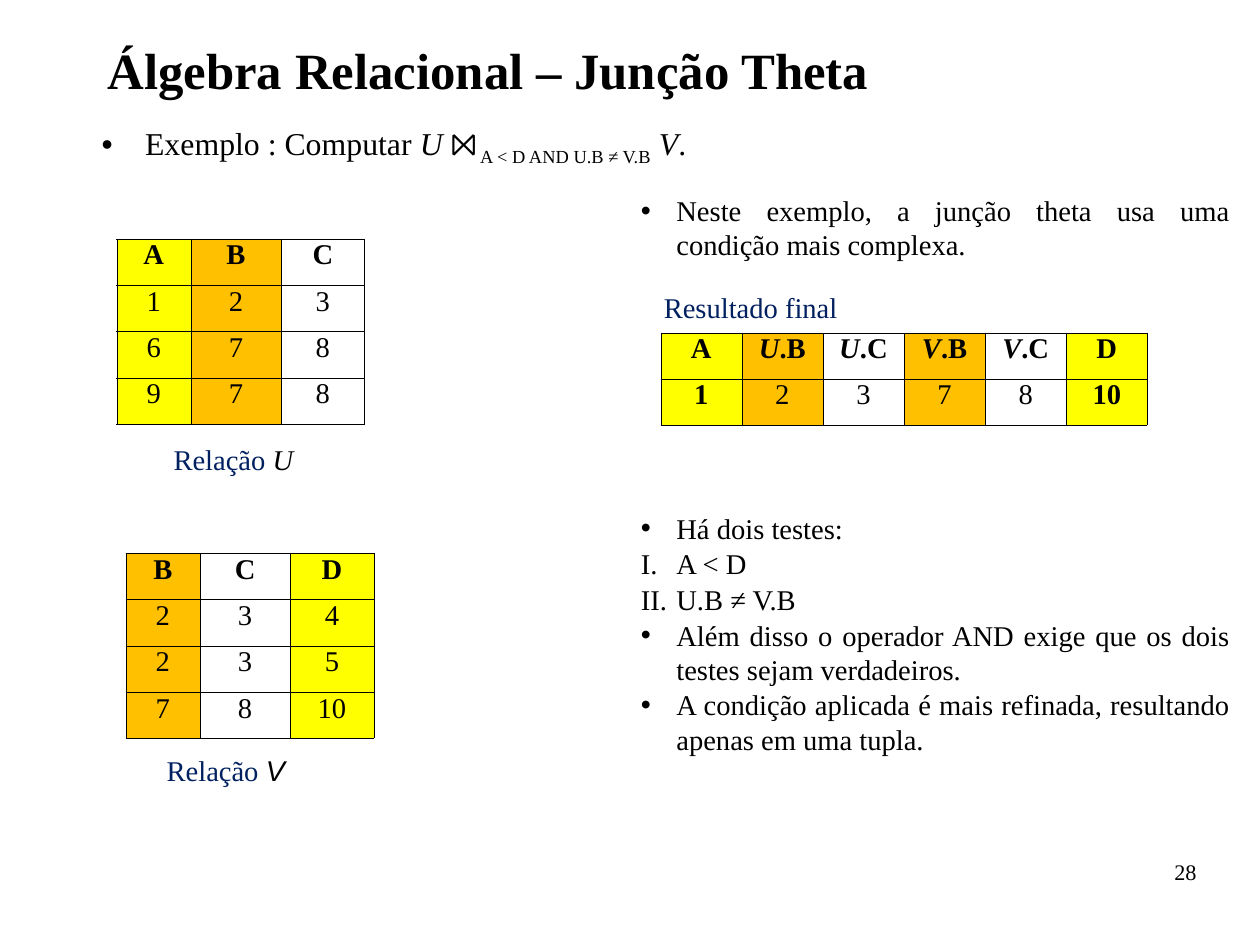
from lxml import etree
from pptx import Presentation
from pptx.dml.color import RGBColor
from pptx.enum.text import MSO_ANCHOR as Anchor, MSO_AUTO_SIZE as AutoSize, PP_ALIGN as Align
from pptx.oxml.ns import qn
from pptx.util import Emu, Inches, Pt

BLACK = RGBColor(0x00, 0x00, 0x00)
WHITE = RGBColor(0xFF, 0xFF, 0xFF)
NAVY = RGBColor(0x00, 0x20, 0x60)
YELLOW = RGBColor(0xFF, 0xFF, 0x00)
ORANGE = RGBColor(0xFF, 0xC0, 0x00)
SERIF = "Times New Roman"
SANS = "Arial"


def write_line(para, spans, size=18, align=Align.LEFT, spacing=None, bullet=None, indent=0.31):
    """Fill a paragraph with (text, style, colour, font) spans; styles: b, i, sub."""
    props = para._p.get_or_add_pPr()
    if bullet:
        props.set("marL", str(Inches(indent)))
        props.set("indent", str(Inches(-indent)))
        if bullet == "roman":
            etree.SubElement(props, qn("a:buAutoNum"), type="romanUcPeriod")
        else:
            etree.SubElement(props, qn("a:buFont"), typeface=SANS)
            etree.SubElement(props, qn("a:buChar"), char=bullet)
    para.alignment = align
    para.space_before = Pt(0)
    para.space_after = Pt(0.8)
    if spacing:
        para.line_spacing = spacing
    for text, style, color, font in spans:
        span = para.add_run()
        span.text = text
        span.font.name = font
        span.font.size = Pt(size)
        span.font.bold = style.startswith("b")
        span.font.italic = style.endswith("i")
        span.font.color.rgb = color
        if style == "sub":
            span.font._element.set("baseline", "-25000")


def add_relation(left, top, widths, height, fills, rows, bold_cells=()):
    """Draw a relation whose columns are coloured; 'U.B' headers get an italic prefix."""
    frame = page.shapes.add_table(len(rows), len(widths), Inches(left), Inches(top),
                                  Inches(sum(widths)), Inches(height))
    table = frame.table
    table.first_row = table.horz_banding = False
    for column, width in zip(table.columns, widths):
        column.width = Inches(width)
    for r, values in enumerate(rows):
        table.rows[r].height = Inches(height / len(rows))
        for c, value in enumerate(values):
            cell = table.cell(r, c)
            cell.fill.solid()
            cell.fill.fore_color.rgb = fills[c]
            weight = "b" if r == 0 or (r, c) in bold_cells else ""
            prefix, dot, name = value.rpartition(".")
            spans = [(dot + name, weight, BLACK, SERIF)]
            if prefix:
                spans.insert(0, (prefix, weight + "i", BLACK, SERIF))
            write_line(cell.text_frame.paragraphs[0], spans, align=Align.CENTER, spacing=0.8)
            cell_props = cell._tc.get_or_add_tcPr()
            for position, side in enumerate(("a:lnL", "a:lnR", "a:lnT", "a:lnB")):
                line = etree.Element(qn(side), w="762")
                fill = etree.SubElement(line, qn("a:solidFill"))
                etree.SubElement(fill, qn("a:srgbClr"), val=str(BLACK))
                cell_props.insert(position, line)


# Page of 28 by 21 cm, in the exact units of this format
deck = Presentation()
deck.slide_width = Emu(10080625)
deck.slide_height = Emu(7559675)
page = deck.slides.add_slide(deck.slide_layouts[5])

# Title
title = page.shapes.title
title.left, title.top, title.width, title.height = map(Inches, (0.94, 0.39, 9.53, 0.67))
heading = title.text_frame
heading.auto_size = AutoSize.NONE
heading.vertical_anchor = Anchor.TOP
heading.margin_left = heading.margin_top = heading.margin_right = heading.margin_bottom = 0
write_line(heading.paragraphs[0], [("Álgebra Relacional – Junção Theta", "b", BLACK, SERIF)],
           size=32, spacing=0.93)

# Text boxes: place, margins (sides, top), paragraph format, lines of (bullet, spans)
example = [("Exemplo : Computar ", "", BLACK, SERIF), ("U", "i", BLACK, SERIF),
           (" ⨝", "", BLACK, SERIF), (" A < D AND U.B ≠ V.B", "sub", BLACK, SERIF),
           (" V", "i", BLACK, SERIF), (".", "", BLACK, SERIF)]
remarks = [("•", "Há dois testes:"),
           ("roman", "A < D"),
           ("roman", "U.B ≠ V.B"),
           ("•", "Além disso o operador AND exige que os dois testes sejam verdadeiros."),
           ("•", "A condição aplicada é mais refinada, resultando apenas em uma tupla.")]
intro = "Neste exemplo, a junção theta usa uma condição mais complexa."
justified = {"align": Align.JUSTIFY}
text_boxes = [
    ((0.89, 1.06, 9.53, 0.5), (0, 0.02), {"size": 20, "indent": 0.38, **justified},
     [("•", example)]),
    ((7.9, 7.53, 2.57, 0.57), (0, 0), {"size": 14, "align": Align.RIGHT, "spacing": 0.95},
     [(None, [("28", "", BLACK, SERIF)])]),
    ((1.42, 3.82, 1.42, 0.4), (0.1, 0.05), {},
     [(None, [("Relação ", "", NAVY, SERIF), ("U", "i", BLACK, SERIF)])]),
    ((1.36, 6.54, 1.42, 0.4), (0.1, 0.05), {},
     [(None, [("Relação ", "", NAVY, SERIF), ("V", "i", BLACK, SANS)])]),
    ((5.51, 1.64, 5.35, 0.72), (0.1, 0.05), justified,
     [("•", [(intro, "", BLACK, SERIF)])]),
    ((5.51, 4.42, 5.35, 2.3), (0.1, 0.05), justified,
     [(bullet, [(text, "", BLACK, SERIF)]) for bullet, text in remarks]),
    ((5.71, 2.49, 4.53, 0.4), (0.1, 0.05), {},
     [(None, [("Resultado final", "", NAVY, SERIF)])]),
]
for place, (side, top), layout, lines in text_boxes:
    frame = page.shapes.add_textbox(*map(Inches, place)).text_frame
    frame.word_wrap = True
    frame.margin_left = frame.margin_right = Inches(side)
    frame.margin_top = frame.margin_bottom = Inches(top)
    for number, (bullet, spans) in enumerate(lines):
        para = frame.add_paragraph() if number else frame.paragraphs[0]
        write_line(para, spans, bullet=bullet, **layout)

# Relations U and V, and the result of the join
source_widths = (0.65, 0.79, 0.73)
add_relation(1.02, 2.09, source_widths, 1.62, (YELLOW, ORANGE, WHITE),
             ["ABC", "123", "678", "978"])
add_relation(1.1, 4.84, source_widths, 1.62, (ORANGE, WHITE, YELLOW),
             ["BCD", "234", "235", ("7", "8", "10")])
add_relation(5.78, 2.91, [0.71] * 6, 0.81, (YELLOW, ORANGE, WHITE, ORANGE, WHITE, YELLOW),
             [("A", "U.B", "U.C", "V.B", "V.C", "D"), ("1", "2", "3", "7", "8", "10")],
             bold_cells=((1, 0), (1, 5)))

deck.save("out.pptx")
